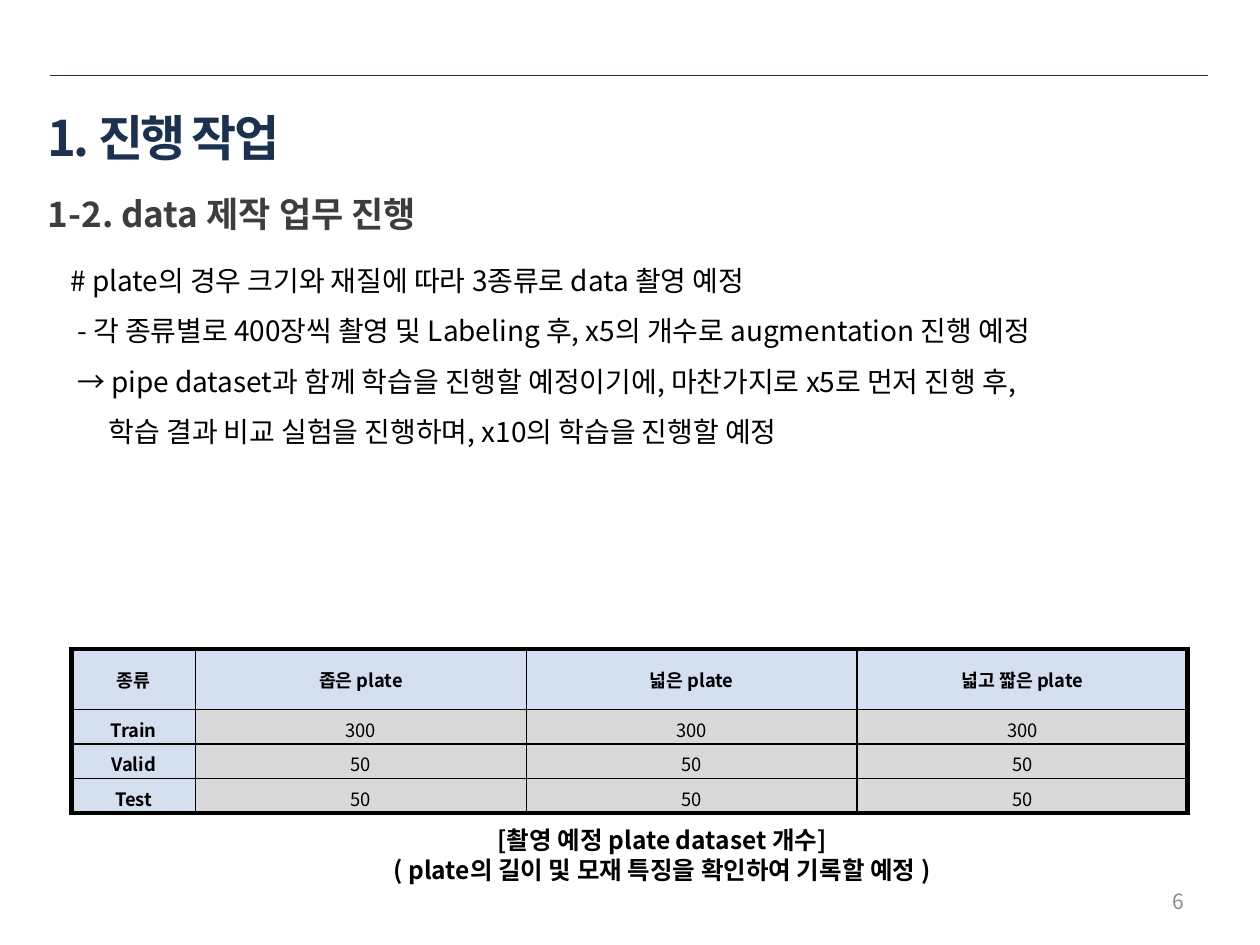
from lxml import etree
from pptx import Presentation
from pptx import util as u
from pptx.dml.color import RGBColor
from pptx.enum import shapes, text
from pptx.oxml.ns import qn

Pt = u.Pt
FONT = "Noto Sans CJK KR"
NAVY, DARK, BLACK, GRAY = "1C314E", "3D3C3E", "000000", "8C8C8C"
HEADER_FILL, BODY_FILL = "D4DFEF", "D9D9D9"
LEFT, CENTER, RIGHT = text.PP_ALIGN.LEFT, text.PP_ALIGN.CENTER, text.PP_ALIGN.RIGHT
TOP, MIDDLE = text.MSO_ANCHOR.TOP, text.MSO_ANCHOR.MIDDLE

TITLE = "1. 진행 작업"
SUBTITLE = "1-2. data 제작 업무 진행"
BODY = [  # text, left indent
    ("# plate의 경우 크기와 재질에 따라 3종류로 data 촬영 예정", 0),
    ("- 각 종류별로 400장씩 촬영 및 Labeling 후, x5의 개수로 augmentation 진행 예정", 4),
    ("→ pipe dataset과 함께 학습을 진행할 예정이기에, 마찬가지로 x5로 먼저 진행 후,", 4),
    ("학습 결과 비교 실험을 진행하며, x10의 학습을 진행할 예정", 22),
]
CAPTION = ["[촬영 예정 plate dataset 개수]",
           "( plate의 길이 및 모재 특징을 확인하여 기록할 예정 )"]
PAGE_NUMBER = "6"
TABLE = [
    ["종류", "좁은 plate", "넓은 plate", "넓고 짧은 plate"],
    ["Train", "300", "300", "300"],
    ["Valid", "50", "50", "50"],
    ["Test", "50", "50", "50"],
]
COLUMN_WIDTHS = [70.8, 189, 189, 189]
ROW_HEIGHTS = [34.5, 19.8, 19.8, 19.8]


def color(value):
    return RGBColor.from_string(value)


def format_paragraph(paragraph, size, ink, bold, align):
    paragraph.alignment = align
    for run in paragraph.runs:
        run.font.size = Pt(size)
        run.font.bold = bold
        run.font.color.rgb = color(ink)
        run.font.name = FONT
        etree.SubElement(run.font._element, qn("a:ea"), typeface=FONT)


def add_text(slide, box, lines, size, ink, bold=False, align=LEFT, anchor=TOP):
    frame = slide.shapes.add_textbox(*map(Pt, box)).text_frame
    frame.word_wrap = True
    frame.vertical_anchor = anchor
    frame.text = "\n".join(lines)
    for paragraph in frame.paragraphs:
        format_paragraph(paragraph, size, ink, bold, align)
    return frame


def set_borders(cell, widths):
    """Draw solid borders; widths are in the order left, right, top, bottom."""
    properties = cell._tc.get_or_add_tcPr()
    for index, (side, width) in enumerate(zip("LRTB", widths)):
        line = etree.Element(qn(f"a:ln{side}"), w=str(Pt(width)))
        fill = etree.SubElement(line, qn("a:solidFill"))
        etree.SubElement(fill, qn("a:srgbClr"), val=BLACK)
        properties.insert(index, line)


def add_count_table(slide, left, top):
    row_count, column_count = len(TABLE), len(TABLE[0])
    table = slide.shapes.add_table(
        row_count, column_count, Pt(left), Pt(top),
        Pt(sum(COLUMN_WIDTHS)), Pt(sum(ROW_HEIGHTS))).table
    for column, width in zip(table.columns, COLUMN_WIDTHS):
        column.width = Pt(width)
    for row, height in zip(table.rows, ROW_HEIGHTS):
        row.height = Pt(height)
    for r, values in enumerate(TABLE):
        for c, value in enumerate(values):
            cell = table.cell(r, c)
            is_header = r == 0 or c == 0
            cell.text = value
            cell.vertical_anchor = MIDDLE
            cell.margin_top, cell.margin_bottom = (Pt(2), Pt(2)) if r == 0 else (Pt(3.6), Pt(0.8))
            cell.fill.solid()
            cell.fill.fore_color.rgb = color(HEADER_FILL if is_header else BODY_FILL)
            format_paragraph(cell.text_frame.paragraphs[0], 10.5, BLACK, is_header, CENTER)
            outer = (c == 0, c == column_count - 1, r == 0, r == row_count - 1)
            set_borders(cell, [3 if edge else 1 for edge in outer])


def main():
    presentation = Presentation()
    presentation.slide_width, presentation.slide_height = Pt(720), Pt(540)
    slide = presentation.slides.add_slide(presentation.slide_layouts[6])

    rule = slide.shapes.add_connector(
        shapes.MSO_CONNECTOR.STRAIGHT, Pt(28.8), Pt(43.2), Pt(690.5), Pt(43.2))
    rule.line.color.rgb = color(NAVY)
    rule.line.width = Pt(0.25)
    etree.SubElement(rule._element.spPr, qn("a:effectLst"))

    title = add_text(slide, (20.2, 55.4, 550.8, 46), [TITLE], 28, NAVY, True, anchor=MIDDLE)
    title.paragraphs[0].runs[0].font._element.set("spc", "-150")
    subtitle = add_text(slide, (20.2, 106.6, 666.7, 100), [SUBTITLE], 20, DARK, True)
    subtitle.paragraphs[0].space_before = Pt(4)

    body = add_text(slide, (33.1, 137.5, 691.2, 121), [line for line, _ in BODY], 16, BLACK)
    for paragraph, (_, indent) in zip(body.paragraphs, BODY):
        paragraph.line_spacing = 1.5
        paragraph._p.get_or_add_pPr().set("marL", str(Pt(indent)))

    add_text(slide, (516.2, 500.4, 167.8, 28.8), [PAGE_NUMBER], 12, GRAY,
             align=RIGHT, anchor=MIDDLE)
    add_count_table(slide, 41, 370.8)
    add_text(slide, (193.7, 468, 369.4, 41), CAPTION, 14, BLACK, True, CENTER)

    presentation.save("out.pptx")


if __name__ == "__main__":
    main()
